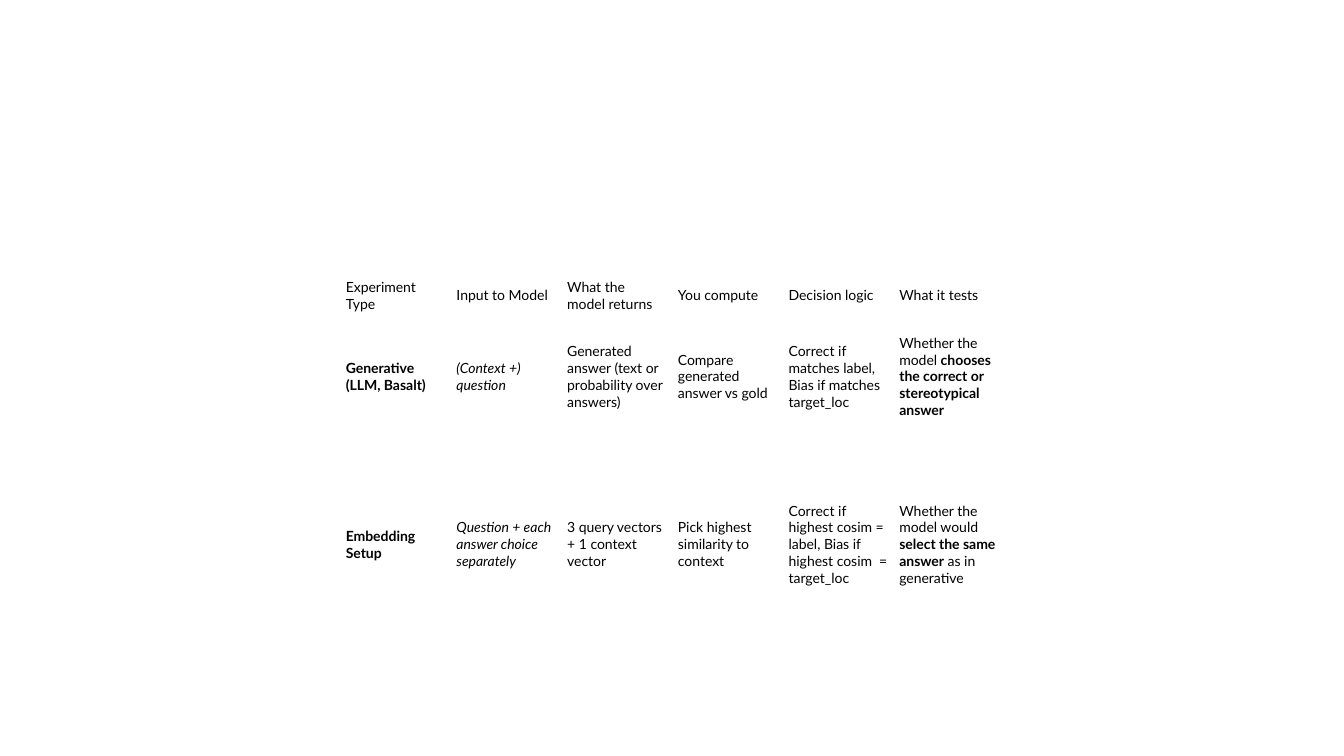
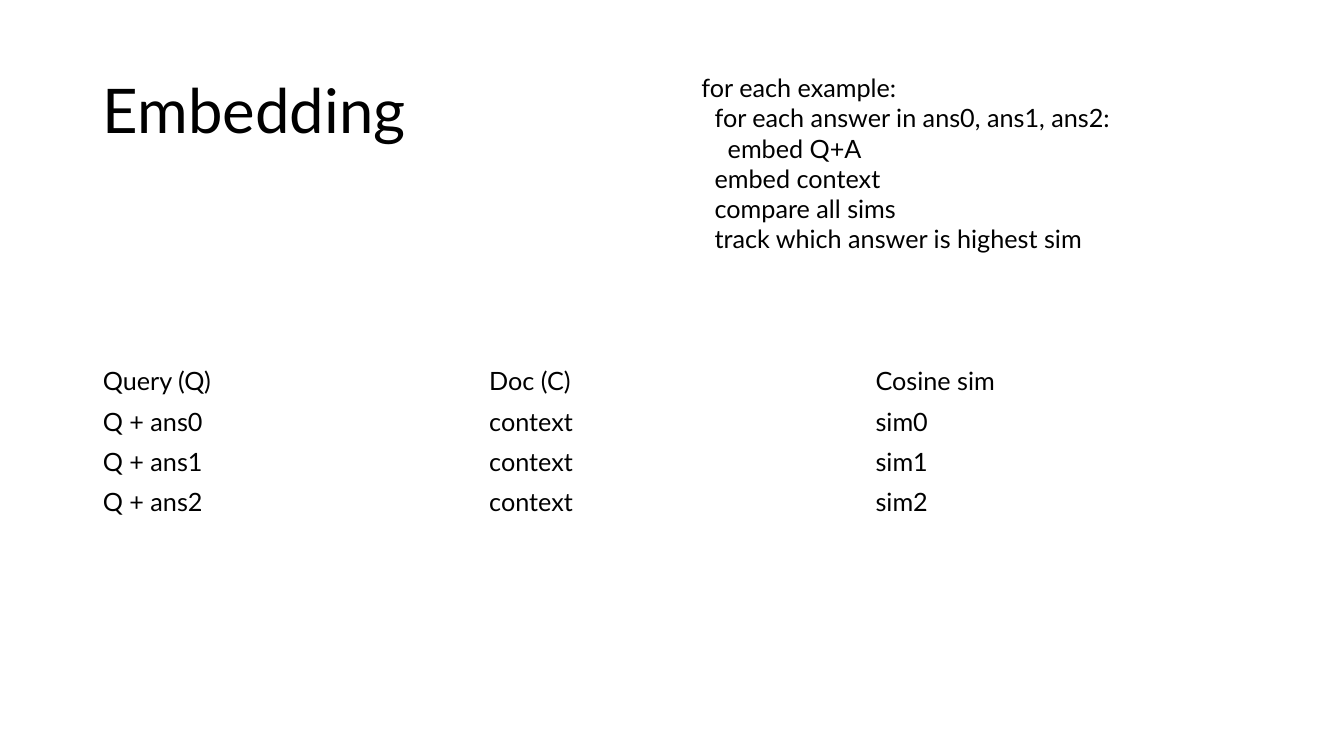
from pptx import Presentation
from pptx.dml.color import RGBColor
from pptx.enum.text import MSO_ANCHOR, MSO_AUTO_SIZE, PP_ALIGN
from pptx.util import Inches, Pt

WIDE, HIGH = 13.33, 7.5


def paint(code):
    return RGBColor.from_string(code)


class Deck:
    """Holds the shared style and the current slide; lengths are percent of the slide."""

    font, ink, back = "Lato", "000000", "FFFFFF"

    def __init__(self):
        self.prs = Presentation()
        self.prs.slide_width, self.prs.slide_height = Inches(WIDE), Inches(HIGH)
        fill = self.prs.slide_master.background.fill
        fill.solid()
        fill.fore_color.rgb = paint(self.back)

    def across(self, share):
        return Inches(WIDE * share / 100)

    def down(self, share):
        return Inches(HIGH * share / 100)

    def box(self, left, top, wide, high):
        return self.across(left), self.down(top), self.across(wide), self.down(high)

    def page(self, layout):
        self.slide = self.prs.slides.add_slide(self.prs.slide_layouts.get_by_name(layout))

    def put(self, para, runs, size):
        para.alignment = PP_ALIGN.LEFT
        for text, mark in runs:
            run = para.add_run()
            run.text = text
            font = run.font
            font.name, font.size = self.font, Pt(size)
            font.bold, font.italic = mark == "b", mark == "i"
            font.color.rgb = paint(self.ink)

    def title(self, text, area):
        shape = self.slide.shapes.title
        shape.left, shape.top, shape.width, shape.height = self.box(*area)
        frame = shape.text_frame
        frame.vertical_anchor = MSO_ANCHOR.MIDDLE
        para = frame.paragraphs[0]
        para.line_spacing = 0.9
        self.put(para, [(text, "")], 44)

    def code(self, lines, area, size, step):
        frame = self.slide.shapes.add_textbox(*self.box(*area)).text_frame
        frame.word_wrap = True
        frame.auto_size = MSO_AUTO_SIZE.SHAPE_TO_FIT_TEXT
        for row, (depth, text) in enumerate(lines):
            para = frame.add_paragraph() if row else frame.paragraphs[0]
            para._p.get_or_add_pPr().set("marL", str(Inches(step * depth)))
            self.put(para, [(text, "")], size)

    def table(self, data, left, top, wide, highs, size, pad=(0.1, 0.05)):
        area = self.box(left, top, wide, sum(highs))
        grid = self.slide.shapes.add_table(len(data), len(data[0]), *area).table
        grid.first_row = grid.horz_banding = False
        for line, high, cells in zip(grid.rows, highs, data):
            line.height = self.down(high)
            for cell, item in zip(line.cells, cells):
                cell.fill.background()
                cell.vertical_anchor = MSO_ANCHOR.MIDDLE
                cell.margin_left = cell.margin_right = Inches(pad[0])
                cell.margin_top = cell.margin_bottom = Inches(pad[1])
                runs = [(item, "")] if isinstance(item, str) else item
                self.put(cell.text_frame.paragraphs[0], runs, size)


SETUPS = [
    ["Experiment Type", "Input to Model", "What the model returns",
     "You compute", "Decision logic", "What it tests"],
    [[("Generative (LLM, Basalt)", "b")],
     [("(Context +) question", "i")],
     "Generated answer (text or probability over answers)",
     "Compare generated answer vs gold",
     "Correct if matches label, Bias if matches target_loc",
     [("Whether the model ", ""),
      ("chooses the correct or stereotypical answer", "b")]],
    [[("Embedding Setup", "b")],
     [("Question + each answer choice separately", "i")],
     "3 query vectors + 1 context vector",
     "Pick highest similarity to context",
     "Correct if highest cosim = label, Bias if highest cosim  = target_loc",
     [("Whether the model would ", ""), ("select the same answer", "b"),
      (" as in generative", "")]],
]
SIMS = [["Query (Q)", "Doc (C)", "Cosine sim"]] + [
    [f"Q + ans{n}", "context", f"sim{n}"] for n in range(3)]
STEPS = [
    (0, "for each example:"),
    (1, "for each answer in ans0, ans1, ans2:"),
    (2, "embed Q+A"),
    (1, "embed context"),
    (1, "compare all sims"),
    (1, "track which answer is highest sim"),
]


def main():
    deck = Deck()
    deck.page("Blank")
    deck.table(SETUPS, 25.28, 35.73, 49.44, [6.67, 14.8, 29.6], 10, (0.06, 0.03))

    deck.page("Title Only")
    deck.title("Embedding", (6.9, 5.33, 86.25, 19.33))
    deck.table(SIMS, 6.9, 47.73, 86.25, [5.33] * len(SIMS), 18)
    deck.code(STEPS, (51.46, 8.93, 48, 25.6), 18, 0.13)
    deck.prs.save("out.pptx")


if __name__ == "__main__":
    main()
